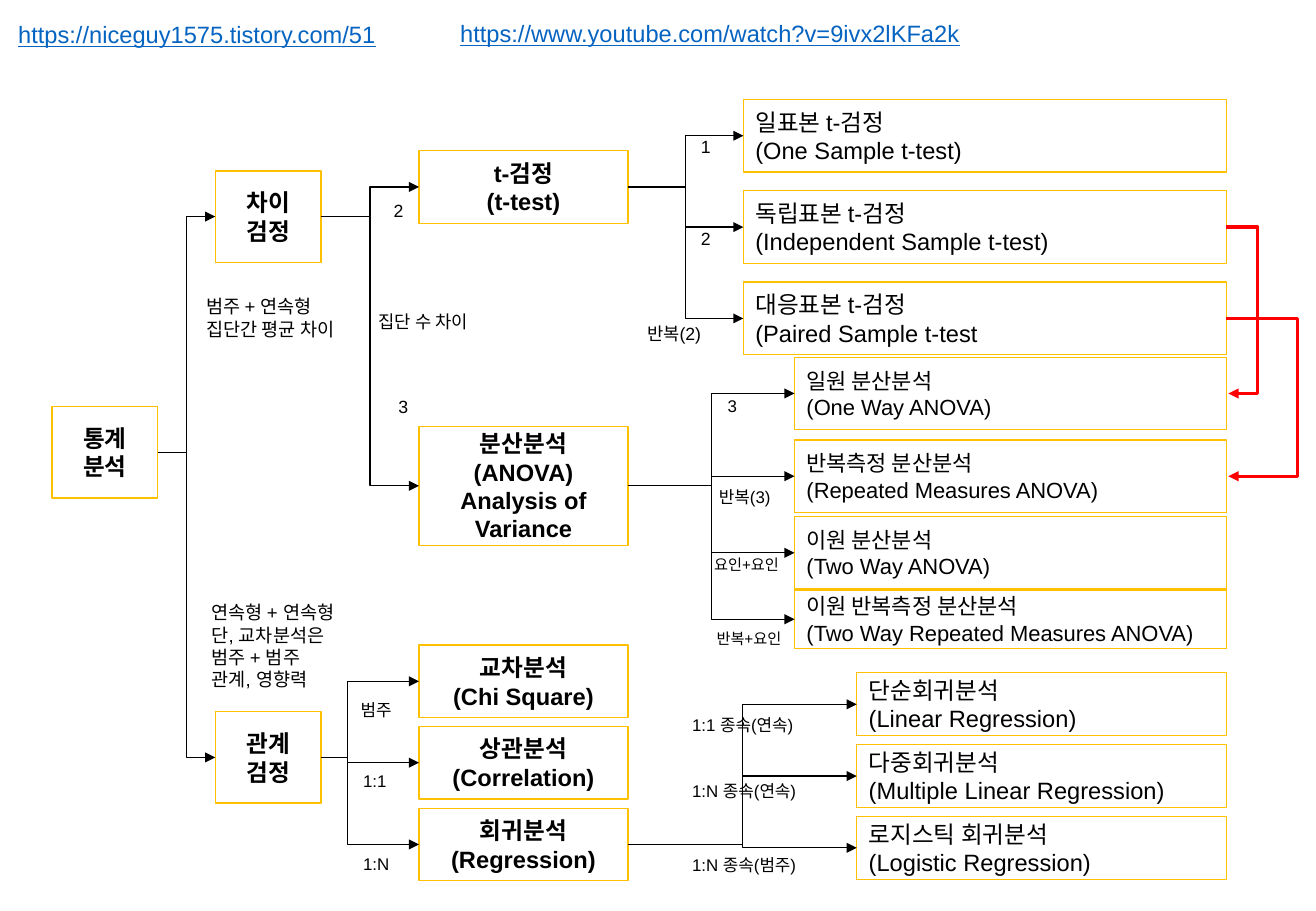
from lxml import etree
from pptx import Presentation
from pptx.dml.color import RGBColor
from pptx.enum.shapes import MSO_CONNECTOR, MSO_SHAPE
from pptx.enum.text import MSO_ANCHOR, MSO_AUTO_SIZE, PP_ALIGN
from pptx.oxml.ns import qn
from pptx.util import Cm, Pt

ELBOW = MSO_CONNECTOR.ELBOW
RECTANGLE = MSO_SHAPE.RECTANGLE
MIDDLE = MSO_ANCHOR.MIDDLE
FIT_SHAPE = MSO_AUTO_SIZE.SHAPE_TO_FIT_TEXT
LEFT, CENTER = PP_ALIGN.LEFT, PP_ALIGN.CENTER
LEFT_SIDE, RIGHT_SIDE = 1, 3
BLANK_LAYOUT = 6

COLORS = {"text": "000000", "box": "FFC000", "branch": "000000",
          "repeat": "FF0000", "link": "0563C1"}
FONT = "Arial"
RIGHT_EDGE = 25.64

COLUMNS = {
    "root": {"left": 1.09, "width": 2.21, "size": 14, "bold": True},
    "goal": {"left": 4.5, "width": 2.21, "size": 14, "bold": True},
    "method": {"left": 8.76, "width": 4.37, "size": 14, "bold": True},
    "t_test": {"left": 15.54, "width": RIGHT_EDGE - 15.54, "size": 14, "bold": False},
    "anova": {"left": 16.61, "width": RIGHT_EDGE - 16.61, "size": 13, "bold": False},
    "regression": {"left": 17.91, "width": RIGHT_EDGE - 17.91, "size": 14, "bold": False},
}

BOXES = [
    ("statistics", "root", 9.46, 1.91, ["통계", "분석"]),
    ("difference", "goal", 4.53, 1.91, ["차이", "검정"]),
    ("relation", "goal", 15.84, 1.91, ["관계", "검정"]),
    ("t_test", "method", 3.91, 1.52, ["t-검정", "(t-test)"]),
    ("anova", "method", 10.16, 2.49, ["분산분석", "(ANOVA)", "Analysis of Variance"]),
    ("chi_square", "method", 14.25, 1.52, ["교차분석", "(Chi Square)"]),
    ("correlation", "method", 15.95, 1.52, ["상관분석", "(Correlation)"]),
    ("regression", "method", 17.66, 1.52, ["회귀분석", "(Regression)"]),
    ("one_sample", "t_test", 2.84, 1.52, ["일표본 t-검정", "(One Sample t-test)"]),
    ("independent", "t_test", 4.75, 1.52, ["독립표본 t-검정", "(Independent Sample t-test)"]),
    ("paired", "t_test", 6.66, 1.52, ["대응표본 t-검정", "(Paired Sample t-test"]),
    ("one_way", "anova", 8.23, 1.52, ["일원 분산분석", "(One Way ANOVA)"]),
    ("repeated", "anova", 9.96, 1.52, ["반복측정 분산분석", "(Repeated Measures ANOVA)"]),
    ("two_way", "anova", 11.56, 1.52, ["이원 분산분석", "(Two Way ANOVA)"]),
    ("two_way_repeated", "anova", 12.95, 1.22,
     ["이원 반복측정 분산분석", "(Two Way Repeated Measures ANOVA)"]),
    ("linear", "regression", 14.73, 1.32, ["단순회귀분석", "(Linear Regression)"]),
    ("multiple", "regression", 16.23, 1.32, ["다중회귀분석", "(Multiple Linear Regression)"]),
    ("logistic", "regression", 17.73, 1.32, ["로지스틱 회귀분석", "(Logistic Regression)"]),
]

BRANCHES = [
    ("statistics", 0.5, ["difference", "relation"]),
    ("difference", 0.5, ["t_test", "anova"]),
    ("relation", 0.27, ["chi_square", "correlation", "regression"]),
    ("t_test", 0.5, ["one_sample", "independent", "paired"]),
    ("anova", 0.5, ["one_way", "repeated", "two_way", "two_way_repeated"]),
    ("regression", 0.5, ["linear", "multiple", "logistic"]),
]

EXTENSIONS = [("independent", "one_way", 26.29), ("paired", "repeated", 27.13)]

LABELS = [
    (["2"], 7.98, 4.06, 0.74, 0.74, 10.5, False),
    (["3"], 8.08, 8.15, 0.74, 0.74, 10.5, False),
    (["집단 수 차이"], 7.67, 6.38, 2.59, 0.71, 10.5, False),
    (["1"], 14.4, 2.72, 0.74, 0.74, 10.5, False),
    (["2"], 14.4, 4.65, 0.74, 0.74, 10.5, False),
    (["반복(2)"], 13.28, 6.63, 1.78, 0.74, 10.5, False),
    (["3"], 14.96, 8.15, 0.71, 0.69, 10, False),
    (["반복(3)"], 14.78, 10.06, 1.65, 0.69, 10, False),
    (["요인+요인"], 14.68, 11.48, 1.98, 0.64, 9, True),
    (["반복+요인"], 14.73, 13.03, 1.98, 0.64, 9, True),
    (["범주"], 7.29, 14.5, 1.22, 0.69, 10, False),
    (["1:1"], 7.34, 16, 0.99, 0.69, 10, False),
    (["1:N"], 7.34, 17.73, 1.07, 0.69, 10, False),
    (["1:1 종속(연속)"], 14.22, 14.81, 3.28, 0.69, 10, True),
    (["1:N 종속(연속)"], 14.22, 16.21, 3.28, 0.69, 10, True),
    (["1:N 종속(범주)"], 14.22, 17.75, 3.28, 0.69, 10, True),
    (["범주 + 연속형", "집단간 평균 차이"], 4.06, 6.05, 3.86, 1.19, 11, True),
    (["연속형 + 연속형", "단, 교차분석은", "범주 + 범주", "관계, 영향력"],
     4.17, 12.45, 3.86, 2.13, 11, True),
]

LINKS = [
    (["https://niceguy1575.tistory.com/51"], 0.13, 0.3, 8.05, 0.86, 14, False),
    (["https://www.youtube.com/watch?v=9ivx2lKFa2k"], 9.37, 0.28, 11.02, 0.86, 14, False),
]


def color(name):
    return RGBColor.from_string(COLORS[name])


def write_lines(frame, lines, align, color_name, **values):
    for index, line in enumerate(lines):
        para = frame.paragraphs[0] if index == 0 else frame.add_paragraph()
        para.alignment = align
        span = para.add_run()
        span.text = line
        span.font.color.rgb = color(color_name)
        for name, value in {"name": FONT, **values}.items():
            setattr(span.font, name, value)


def add_box(page, column, middle, height, lines):
    style = COLUMNS[column]
    box = page.shapes.add_shape(RECTANGLE, Cm(style["left"]), Cm(middle - height / 2),
                                Cm(style["width"]), Cm(height))
    box.shadow.inherit = False
    box.fill.background()
    box.line.color.rgb = color("box")
    box.line.width = Pt(0.75)
    box.text_frame.vertical_anchor = MIDDLE
    align = CENTER if style["bold"] else LEFT
    write_lines(box.text_frame, lines, align, "text",
                size=Pt(style["size"]), bold=style["bold"])
    return box


def add_label(page, label, color_name="text", underline=False):
    lines, left, top, width, height, size, wrap = label
    box = page.shapes.add_textbox(Cm(left), Cm(top), Cm(width), Cm(height))
    box.text_frame.word_wrap = wrap
    box.text_frame.auto_size = FIT_SHAPE
    write_lines(box.text_frame, lines, LEFT, color_name,
                size=Pt(size), underline=underline)


def add_arrow(page, source, end_x, end_y, bend, color_name, width):
    arrow = page.shapes.add_connector(ELBOW, source.left + source.width,
                                      source.top + source.height // 2, end_x, end_y)
    arrow.begin_connect(source, RIGHT_SIDE)
    arrow.line.color.rgb = color(color_name)
    arrow.line.width = Pt(width)
    properties = arrow._element.spPr
    etree.SubElement(properties.find(qn("a:ln")), qn("a:tailEnd"), type="triangle")
    etree.SubElement(properties, qn("a:effectLst"))
    guides = properties.find(qn("a:prstGeom")).find(qn("a:avLst"))
    etree.SubElement(guides, qn("a:gd"), name="adj1", fmla=f"val {round(bend * 100000)}")
    return arrow


def add_branch(page, source, target, bend):
    arrow = add_arrow(page, source, target.left, target.top + target.height // 2,
                      bend, "branch", 0.75)
    arrow.end_connect(target, LEFT_SIDE)


def add_extension(page, source, target, bend_x):
    gap = 0.04
    add_arrow(page, source, Cm(RIGHT_EDGE + gap), target.top + target.height // 2,
              (bend_x - RIGHT_EDGE) / gap, "repeat", 2)


def main():
    deck = Presentation()
    deck.slide_width, deck.slide_height = Cm(27.51), Cm(19.05)
    page = deck.slides.add_slide(deck.slide_layouts[BLANK_LAYOUT])
    boxes = {name: add_box(page, *details) for name, *details in BOXES}
    for source, bend, targets in BRANCHES:
        for target in targets:
            add_branch(page, boxes[source], boxes[target], bend)
    for source, target, bend_x in EXTENSIONS:
        add_extension(page, boxes[source], boxes[target], bend_x)
    for label in LABELS:
        add_label(page, label)
    for link in LINKS:
        add_label(page, link, "link", True)
    deck.save("out.pptx")


if __name__ == "__main__":
    main()
